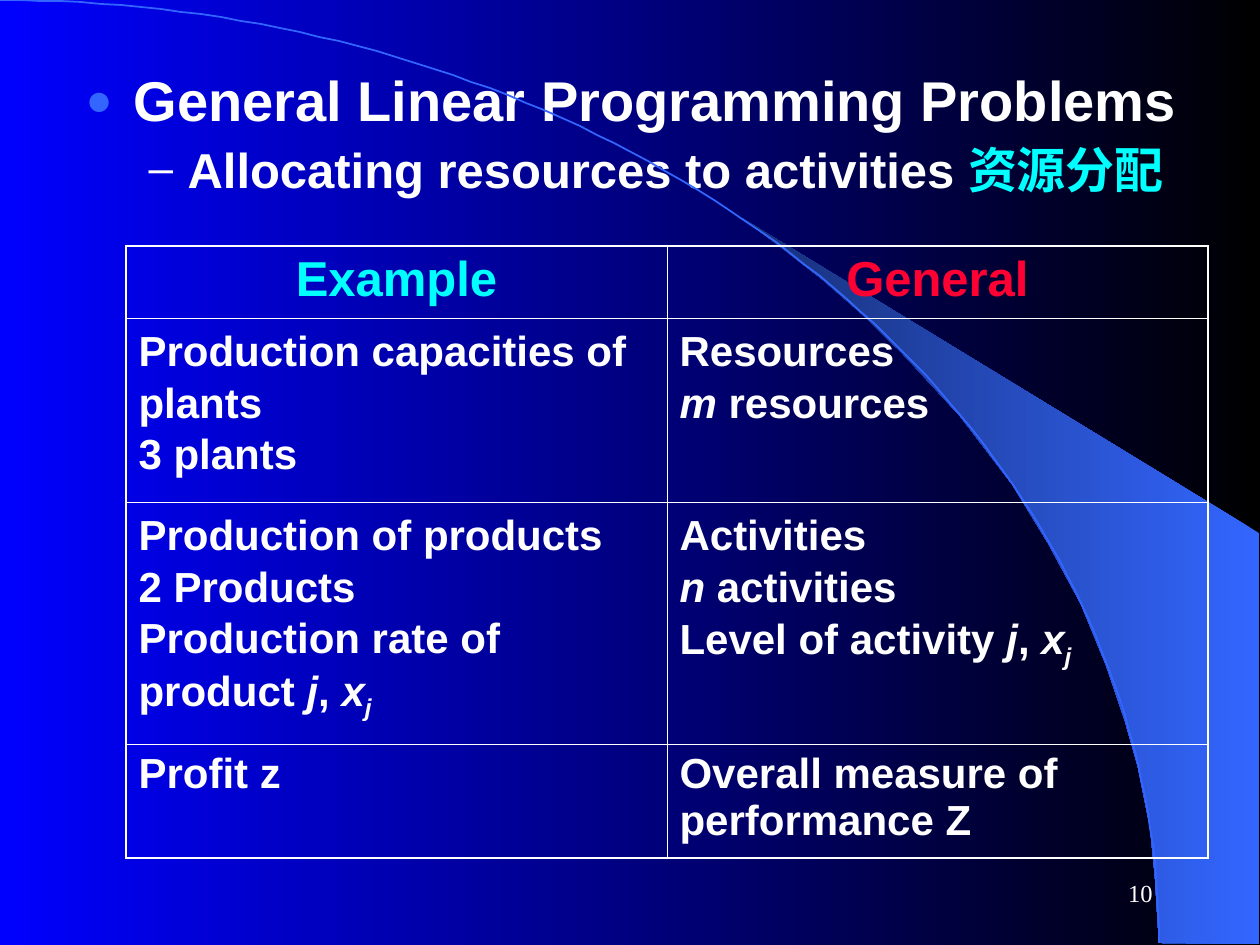
import math
from lxml import etree
from pptx import Presentation
from pptx import util as u
from pptx.dml.color import RGBColor
from pptx.enum import text
from pptx.oxml import ns

PX = 914400 // 126
WHITE, CYAN, RED, BLUE = "FFFFFF", "00FFFF", "FF0033", "3366FF"


def rgb(code):
    return RGBColor.from_string(code)


def add_runs(para, runs, size, color=WHITE, name="Arial"):
    """Add (words, style) runs; style may hold i (italic), s (subscript) or a colour."""
    for words, style in runs:
        run = para.add_run()
        run.text = words
        font = run.font
        font.name, font.size, font.bold = name, u.Pt(size), name == "Arial"
        font.italic = style in ("i", "s")
        font.color.rgb = rgb(style if len(style) == 6 else color)
        if style == "s":
            run._r.get_or_add_rPr().set("baseline", "-25000")


prs = Presentation()
prs.slide_width, prs.slide_height = u.Inches(10), u.Inches(7.5)
slide = prs.slides.add_slide(prs.slide_layouts[1])
title, body = slide.placeholders
title._element.getparent().remove(title._element)

# Backdrop: gradient, wedge and quarter ellipse
back = slide.background.fill
wedge_pts = [(1159, 943), (1259, 944), (1259, 533), (742, 218), (786, 251),
             (823, 280), (863, 315), (902, 353), (960, 416), (1012, 484),
             (1048, 543), (1081, 604), (1106, 665), (1125, 721), (1138, 767),
             (1150, 827), (1155, 877)]
build = slide.shapes.build_freeform(*wedge_pts[0], scale=PX)
build.add_line_segments(wedge_pts[1:], close=True)
wedge = build.convert_to_shape()
wedge.shadow.inherit = False
wedge.line.fill.background()
for fill, ends in ((back, ("000000", "0000FF")), (wedge.fill, (BLUE, "172F75"))):
    fill.gradient()
    fill.gradient_angle = 180
    for stop, color, pos in zip(fill.gradient_stops, ends, (0, 1)):
        stop.color.rgb, stop.position = rgb(color), pos

STEPS = 90
arc_pts = [(round(1159 * math.sin(k * math.pi / 2 / STEPS), 2),
            round(943 * (1 - math.cos(k * math.pi / 2 / STEPS)), 2))
           for k in range(STEPS + 1)]
build = slide.shapes.build_freeform(*arc_pts[0], scale=PX)
build.add_line_segments(arc_pts[1:], close=False)
arc = build.convert_to_shape()
arc.shadow.inherit = False
arc.fill.background()
arc.line.color.rgb, arc.line.width = rgb(BLUE), u.Pt(1)

# Heading bullets
body.left, body.top, body.width, body.height = (n * PX for n in (73, 53, 1134, 157))
frame = body.text_frame
frame.auto_size = text.MSO_AUTO_SIZE.NONE
heads = [
    (32, 48, -48, "●", BLUE, 80, [("General Linear Programming Problems", "")]),
    (28, 102, -39, "–", WHITE, 90,
     [("Allocating resources to activities ", ""), ("资源分配", CYAN)]),
]
for lvl, (size, left, hang, mark, color, pct, runs) in enumerate(heads):
    para = frame.add_paragraph() if lvl else frame.paragraphs[0]
    para.level, para.line_spacing, para.space_before = lvl, 1.1, u.Pt(0)
    props = para._p.get_or_add_pPr()
    props.set("marL", str(left * PX))
    props.set("indent", str(hang * PX))
    tint = etree.SubElement(props, ns.qn("a:buClr"))
    etree.SubElement(tint, ns.qn("a:srgbClr"), val=color)
    etree.SubElement(props, ns.qn("a:buSzPct"), val=str(pct * 1000))
    etree.SubElement(props, ns.qn("a:buChar"), char=mark)
    add_runs(para, runs, size)

# Table: each cell is a list of paragraphs, each paragraph a list of runs
level = [("j", "i"), (", ", ""), ("x", "i"), ("j", "s")]
rows = [
    (72, [[("Example", CYAN)]], [[("General", RED)]]),
    (184, [[("Production capacities of plants", "")], [("3 plants", "")]],
     [[("Resources", "")], [("m ", "i"), ("resources", "")]]),
    (242, [[("Production of products", "")], [("2 Products", "")],
           [("Production rate of product ", "")] + level],
     [[("Activities", "")], [("n ", "i"), ("activities", "")],
      [("Level of activity ", "")] + level]),
    (114, [[("Profit z", "")]], [[("Overall measure of performance Z", "")]]),
]
last = len(rows) - 1
table = slide.shapes.add_table(len(rows), 2, 126 * PX, 246 * PX,
                               1082 * PX, 612 * PX).table
table.first_row = table.horz_banding = False
for col in table.columns:
    col.width = 541 * PX
for r, (high, *cells) in enumerate(rows):
    table.rows[r].height = high * PX
    for c, paras in enumerate(cells):
        cell = table.cell(r, c)
        cell.fill.background()
        outer = {"lnL": c == 0, "lnR": c == 1, "lnT": r == 0, "lnB": r == last}
        props = cell._tc.get_or_add_tcPr()
        for pos, (side, edge) in enumerate(outer.items()):
            line = etree.Element(ns.qn("a:" + side), w=str(u.Pt(1.08 if edge else 0.45)))
            solid = etree.SubElement(line, ns.qn("a:solidFill"))
            etree.SubElement(solid, ns.qn("a:srgbClr"), val=WHITE)
            props.insert(pos, line)
        for k, runs in enumerate(paras):
            frame = cell.text_frame
            para = frame.add_paragraph() if k else frame.paragraphs[0]
            para.line_spacing = 1.1 if 0 < r < last else 1.0
            para.alignment = text.PP_ALIGN.LEFT if r else text.PP_ALIGN.CENTER
            add_runs(para, runs, 24 if r else 28)

# Page number
page = slide.shapes.add_textbox(*(n * PX for n in (903, 861, 262, 63))).text_frame
page.word_wrap = True
page.vertical_anchor = text.MSO_ANCHOR.MIDDLE
page.paragraphs[0].alignment = text.PP_ALIGN.RIGHT
add_runs(page.paragraphs[0], [("10", "")], 14, name="Times New Roman")

prs.save("out.pptx")
